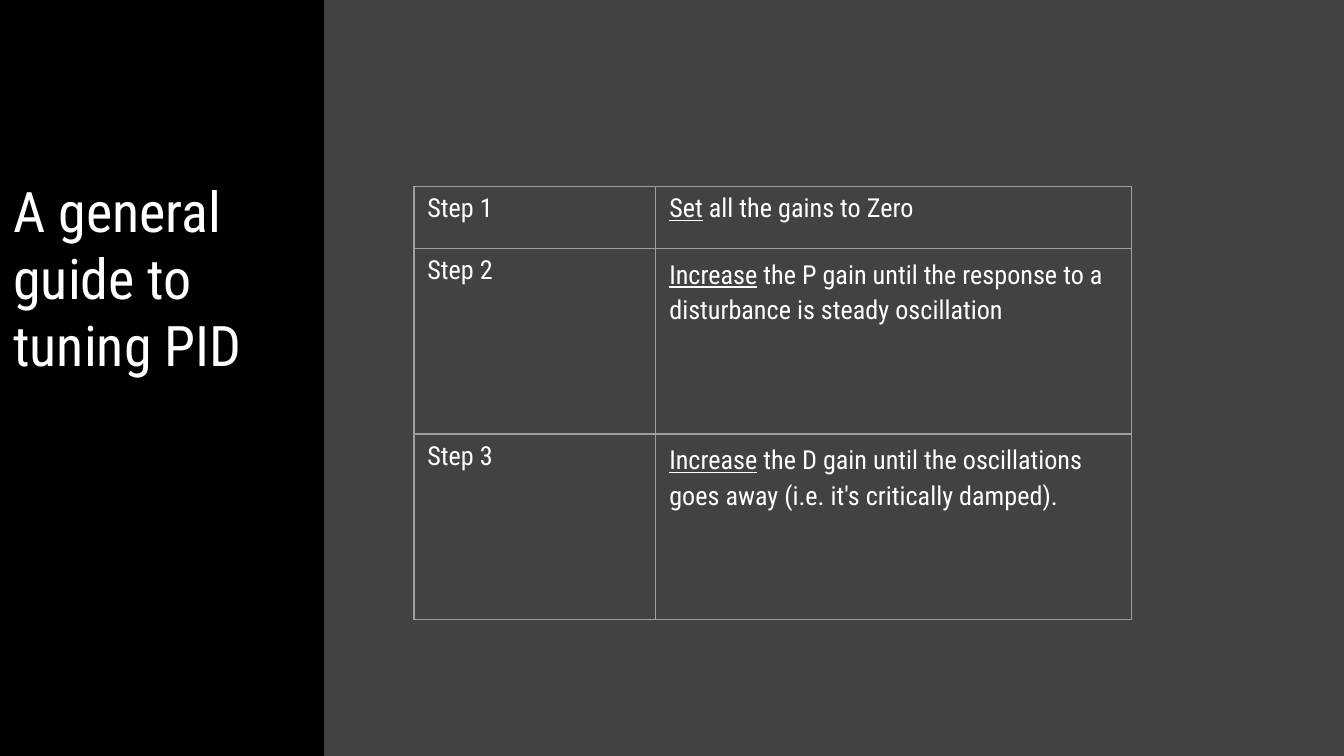
from lxml.etree import SubElement
from pptx import Presentation
from pptx.dml.color import RGBColor
from pptx.enum.text import MSO_ANCHOR, MSO_AUTO_SIZE, PP_ALIGN
from pptx.oxml.ns import qn
from pptx.util import Inches, Pt

COLORS = {"background": "424242", "panel": "000000", "text": "FFFFFF", "border": "9E9E9E"}
FONT = "Roboto Condensed"
WIDTH = 10
HEIGHT = WIDTH * 9 / 16


class GuideSlide:
    """Holds the style and the current slide."""

    def __init__(self, deck):
        self.slide = deck.slides.add_slide(deck.slide_layouts[5])
        self.fill(self.slide.background.fill, "background")

    def fill(self, target, color):
        target.solid()
        target.fore_color.rgb = RGBColor.from_string(COLORS[color])

    def run(self, paragraph, text, size, underline=False):
        run = paragraph.add_run()
        run.text = text
        font_format = {"name": FONT, "size": Pt(size), "bold": False, "underline": underline}
        for name, value in font_format.items():
            setattr(run.font, name, value)
        run.font.color.rgb = RGBColor.from_string(COLORS["text"])

    def title_panel(self, text, width, text_top):
        panel = self.slide.shapes.title
        place = {"left": 0, "top": 0, "width": width, "height": HEIGHT}
        for name, value in place.items():
            setattr(panel, name, Inches(value))
        self.fill(panel.fill, "panel")
        frame = panel.text_frame
        frame_format = {
            "word_wrap": True,
            "auto_size": MSO_AUTO_SIZE.NONE,
            "vertical_anchor": MSO_ANCHOR.TOP,
            "margin_left": Inches(0.1),
            "margin_right": Inches(0.1),
            "margin_top": Inches(text_top),
        }
        for name, value in frame_format.items():
            setattr(frame, name, value)
        heading = frame.paragraphs[0]
        heading.alignment = PP_ALIGN.LEFT
        self.run(heading, text, 30)

    def borders(self, cell):
        properties = cell._tc.get_or_add_tcPr()
        for index, side in enumerate(("a:lnL", "a:lnR", "a:lnT", "a:lnB")):
            line = SubElement(properties, qn(side), w=str(Pt(0.75)))
            SubElement(SubElement(line, qn("a:solidFill")), qn("a:srgbClr"), val=COLORS["border"])
            properties.insert(index, line)

    def cell(self, cell, parts, spacing):
        cell.fill.background()
        self.borders(cell)
        cell.margin_left = cell.margin_right = Inches(0.1)
        paragraph = cell.text_frame.paragraphs[0]
        paragraph.line_spacing = spacing
        for text, underline in parts:
            self.run(paragraph, text, 14, underline)

    def steps_table(self, steps, left, top, widths, heights):
        table = self.slide.shapes.add_table(
            len(steps), len(widths), Inches(left), Inches(top),
            Inches(sum(widths)), Inches(sum(heights))).table
        table.first_row = table.horz_banding = False
        for column, width in zip(table.columns, widths):
            column.width = Inches(width)
        for index, (verb, rest, spacing) in enumerate(steps):
            table.rows[index].height = Inches(heights[index])
            self.cell(table.cell(index, 0), [(f"Step {index + 1}", False)], 1.0)
            self.cell(table.cell(index, 1), [(verb, True), (rest, False)], spacing)


# Tuning steps: underlined verb, remaining text, line spacing
STEPS = [
    ("Set", " all the gains to Zero", 1.0),
    ("Increase", " the P gain until the response to a disturbance is steady oscillation", 1.15),
    ("Increase", " the D gain until the oscillations goes away (i.e. it's critically damped).", 1.15),
]


def main():
    deck = Presentation()
    deck.slide_width, deck.slide_height = Inches(WIDTH), Inches(HEIGHT)
    guide = GuideSlide(deck)

    # Title panel on the left
    guide.title_panel("A general guide to tuning PID", width=2.41, text_top=1.31)

    # Steps on the right
    guide.steps_table(STEPS, left=3.08, top=1.39, widths=[1.8, 3.54], heights=[0.46, 1.38, 1.38])

    deck.save("out.pptx")


if __name__ == "__main__":
    main()
